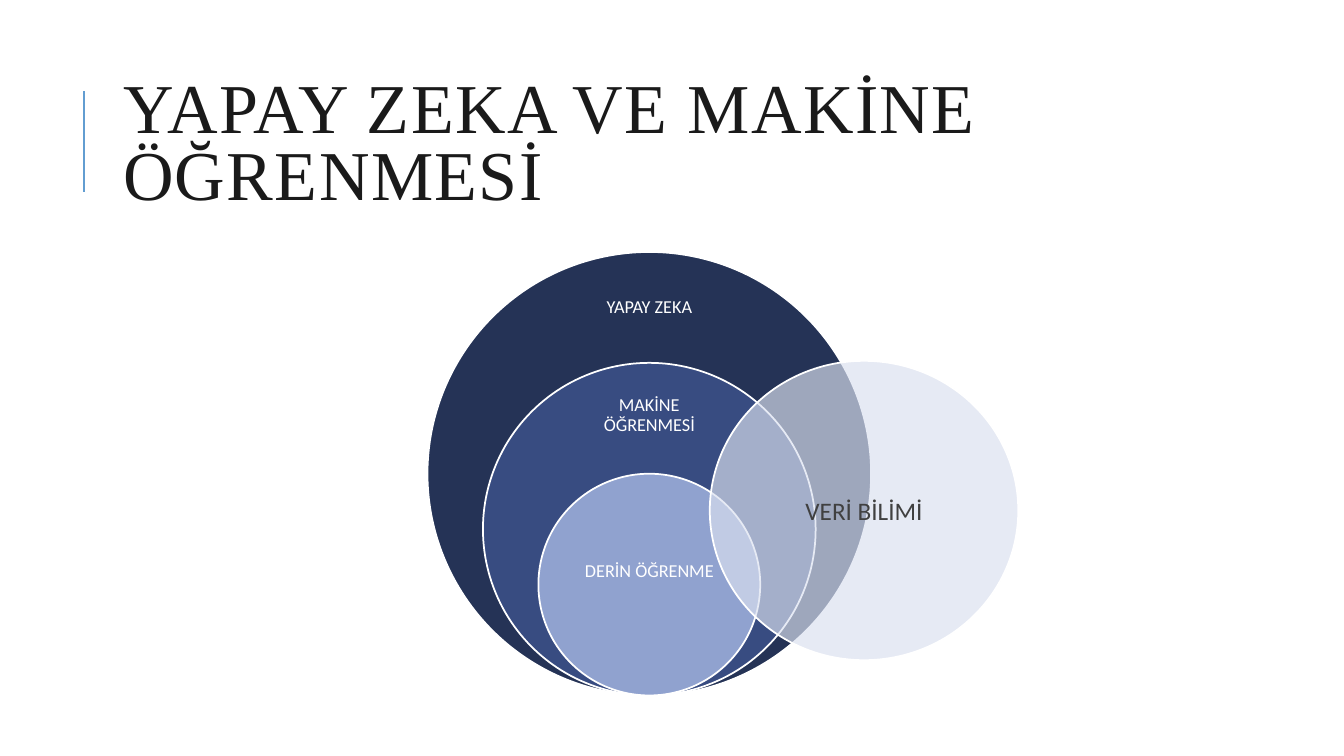
from pptx import Presentation
from pptx.util import Inches, Pt
from pptx.dml.color import RGBColor
from pptx.enum.shapes import MSO_CONNECTOR as Connector, MSO_SHAPE as Shape
from pptx.enum.text import MSO_ANCHOR as Anchor, MSO_AUTO_SIZE as AutoSize, PP_ALIGN as Align
from pptx.oxml.ns import qn
from lxml.etree import SubElement


def color(hex_string):
    return RGBColor.from_string(hex_string)


def write(shape, text, font, alignment=Align.CENTER, line_spacing=0.9):
    frame = shape.text_frame
    frame.word_wrap = True
    frame.auto_size = AutoSize.NONE
    frame.vertical_anchor = Anchor.MIDDLE
    paragraph = frame.paragraphs[0]
    paragraph.alignment = alignment
    paragraph.line_spacing = line_spacing
    run = paragraph.add_run()
    run.text = text
    for name, value in font.items():
        if name == "color":
            run.font.color.rgb = color(value)
        else:
            setattr(run.font, name, value)
    return run


presentation = Presentation()
presentation.slide_width = Inches(13.33)
presentation.slide_height = Inches(7.5)
slide = presentation.slides.add_slide(presentation.slide_layouts[5])

# Accent line beside the title
accent = slide.shapes.add_connector(
    Connector.STRAIGHT, Inches(0.83), Inches(1.9), Inches(0.83), Inches(0.9))
accent.line.color.rgb = color("629DD1")
accent.line.width = Pt(1.5)
SubElement(accent._element.spPr, qn("a:effectLst"))

# Title
title = slide.shapes.title
title.left, title.top, title.width, title.height = map(Inches, (1.12, 0.64, 10.93, 1.64))
title_font = {"name": "Times New Roman", "size": Pt(50), "color": "1A1A1A"}
title_run = write(title, "YAPAY ZEKA VE MAKİNE ÖĞRENMESİ", title_font, Align.LEFT, 0.8)
title_run.font._element.set("spc", "100")

# Nested circles share a centre line and a bottom; the data circle overlaps them
center_x, bottom, unit = 6.44, 6.9, 1.1
nested = [("YAPAY ZEKA", 4, "253356", 3.05),
          ("MAKİNE ÖĞRENMESİ", 3, "384C81", 4.12),
          ("DERİN ÖĞRENME", 2, "90A2CF", 5.67)]
circles = [(center_x - n * unit / 2, bottom - n * unit, n * unit, n * unit, fill)
           for _, n, fill, _ in nested]
circles.append((7.04, 3.58, 3.06, 2.97, "DAE0EF"))
ellipses = []
for *box, fill in circles:
    ellipse = slide.shapes.add_shape(Shape.OVAL, *map(Inches, box))
    ellipse.shadow.inherit = False
    ellipse.fill.solid()
    ellipse.fill.fore_color.rgb = color(fill)
    ellipse.line.color.rgb = color("FFFFFF")
    ellipse.line.width = Pt(1.25)
    ellipses.append(ellipse)

# Labels of the nested circles, placed below the data circle
label_font = {"name": "Calibri", "size": Pt(13), "color": "FFFFFF"}
label_width, label_height = 1.56, 0.64
data_circle = ellipses[-1]
for text, _, _, center_y in nested:
    label = slide.shapes.add_textbox(
        Inches(center_x - label_width / 2), Inches(center_y - label_height / 2),
        Inches(label_width), Inches(label_height))
    write(label, text, label_font)
    data_circle._element.addprevious(label._element)

# Translucent data circle with its own label
write(data_circle, "VERİ BİLİMİ", {"name": "Calibri", "size": Pt(18), "color": "404040"},
      line_spacing=1.0)
fill_color = data_circle._element.spPr.find(qn("a:solidFill")).find(qn("a:srgbClr"))
SubElement(fill_color, qn("a:alpha")).set("val", "67000")

presentation.save("out.pptx")
